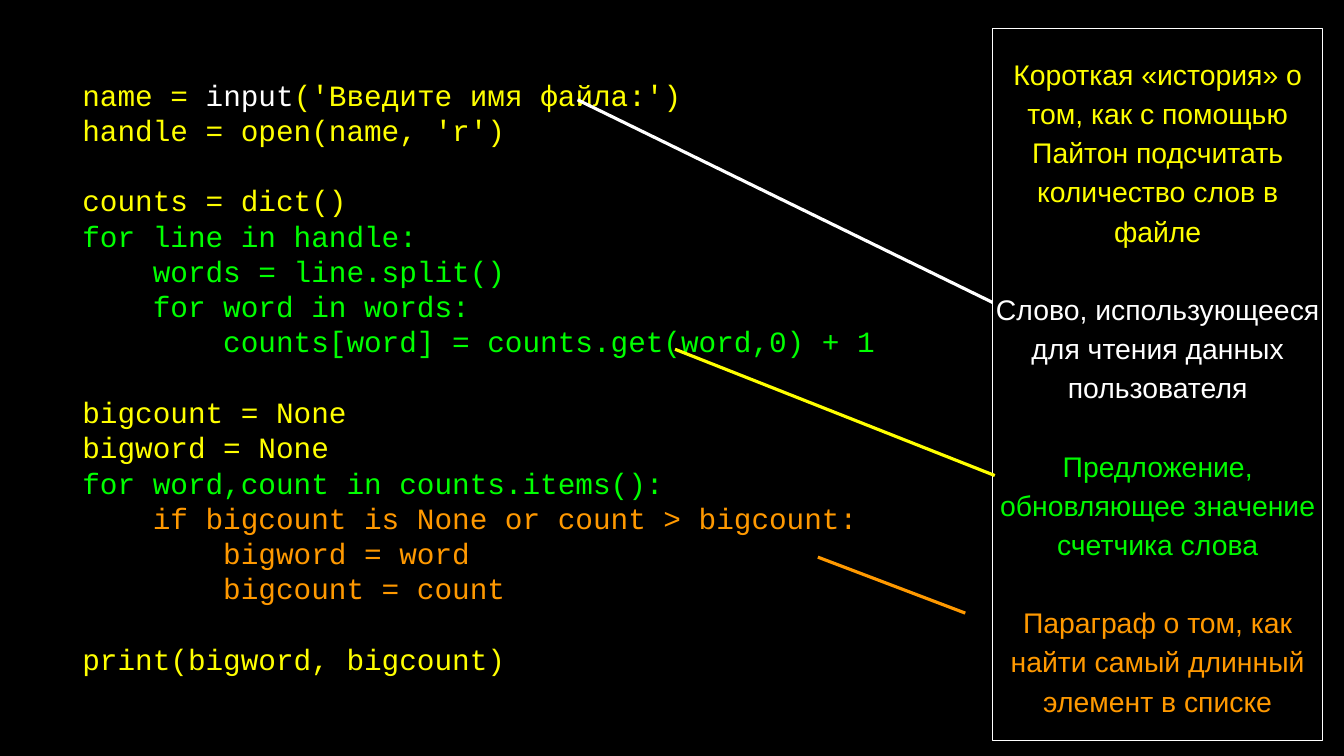
import pptx
import pptx.util
import pptx.dml.color
import pptx.enum.shapes
import pptx.enum.text
import pptx.oxml.ns
from lxml import etree

Inches, Pt = pptx.util.Inches, pptx.util.Pt
ALIGN = pptx.enum.text.PP_ALIGN

COLORS = {
    "black": "000000",
    "white": "FFFFFF",
    "yellow": "FFFF00",
    "green": "00FF00",
    "note green": "00FA00",
    "orange": "FF9900",
}

# Content: blocks of code lines; each line is a list of (text, color) runs
code_blocks = [
    [
        [("name = ", "yellow"), ("input", "white"),
         ("('Введите имя файла:')", "yellow")],
        [("handle = open(name, 'r')", "yellow")],
    ],
    [
        [("counts = dict()", "yellow")],
        [("for line in handle:", "green")],
        [("    words = line.split()", "green")],
        [("    for word in words:", "green")],
        [("        counts[word] = counts.get(word,0) + 1", "green")],
    ],
    [
        [("bigcount = None", "yellow")],
        [("bigword = None", "yellow")],
        [("for word,count in counts.items():", "green")],
        [("    if bigcount is None or count > bigcount:", "orange")],
        [("        bigword = word", "orange")],
        [("        bigcount = count", "orange")],
    ],
    [
        [("print(bigword, bigcount)", "yellow")],
    ],
]

# Each note is a block of one line
note_blocks = [
    [[("Короткая «история» о том, как с помощью Пайтон подсчитать "
       "количество слов в файле", "yellow")]],
    [[("Слово, использующееся для чтения данных пользователя", "white")]],
    [[("Предложение, обновляющее значение счетчика слова", "note green")]],
    [[("Параграф о том, как найти самый длинный элемент в списке", "orange")]],
]

# Links from code to notes: start, end, color
links = [
    ((7.64, 1.32), (13.13, 4.00), "white"),
    ((8.93, 4.62), (13.16, 6.29), "yellow"),
    ((10.82, 7.37), (12.77, 8.11), "orange"),
]

code_area = (1.09, 0.85, 10.97, 8.26)
notes_area = (13.13, 0.38, 4.37, 9.42)
code_format = {"font": "Courier New", "size": 28, "pitch": 33.6,
               "align": ALIGN.LEFT}
notes_format = {"font": "Arial", "size": 27, "pitch": 37.3,
                "align": ALIGN.CENTER}
frame_format = {
    "margin_left": 0, "margin_right": 0, "margin_top": 0, "margin_bottom": 0,
    "word_wrap": True,
    "vertical_anchor": pptx.enum.text.MSO_ANCHOR.MIDDLE,
}


def rgb(color):
    return pptx.dml.color.RGBColor.from_string(COLORS[color])


def write_blocks(frame, blocks, style):
    """Write lines of runs, with one line of space between blocks."""
    for key, value in frame_format.items():
        setattr(frame, key, value)
    paragraph = frame.paragraphs[0]
    for block_number, block in enumerate(blocks):
        for line_number, line in enumerate(block):
            if block_number or line_number:
                paragraph = frame.add_paragraph()
            paragraph.alignment = style["align"]
            paragraph.line_spacing = Pt(style["pitch"])
            if block_number and not line_number:
                paragraph.space_before = Pt(style["pitch"])
            for text, color in line:
                run = paragraph.add_run()
                run.text = text
                run.font.name = style["font"]
                run.font.size = Pt(style["size"])
                run.font.color.rgb = rgb(color)


def main():
    deck = pptx.Presentation()
    deck.slide_width, deck.slide_height = Inches(17.78), Inches(10)
    slide = deck.slides.add_slide(deck.slide_layouts[6])
    slide.background.fill.solid()
    slide.background.fill.fore_color.rgb = rgb("black")

    # Program
    program = slide.shapes.add_textbox(*map(Inches, code_area))
    write_blocks(program.text_frame, code_blocks, code_format)

    # Framed notes
    notes = slide.shapes.add_shape(
        pptx.enum.shapes.MSO_SHAPE.RECTANGLE, *map(Inches, notes_area))
    notes.shadow.inherit = False
    notes.fill.background()
    notes.line.color.rgb = rgb("white")
    notes.line.width = Pt(0.75)
    write_blocks(notes.text_frame, note_blocks, notes_format)

    # Links
    for start, end, color in links:
        link = slide.shapes.add_connector(
            pptx.enum.shapes.MSO_CONNECTOR.STRAIGHT, *map(Inches, start + end))
        link.line.color.rgb = rgb(color)
        link.line.width = Pt(3)
        etree.SubElement(link._element.spPr, pptx.oxml.ns.qn("a:effectLst"))

    deck.save("out.pptx")


if __name__ == "__main__":
    main()
